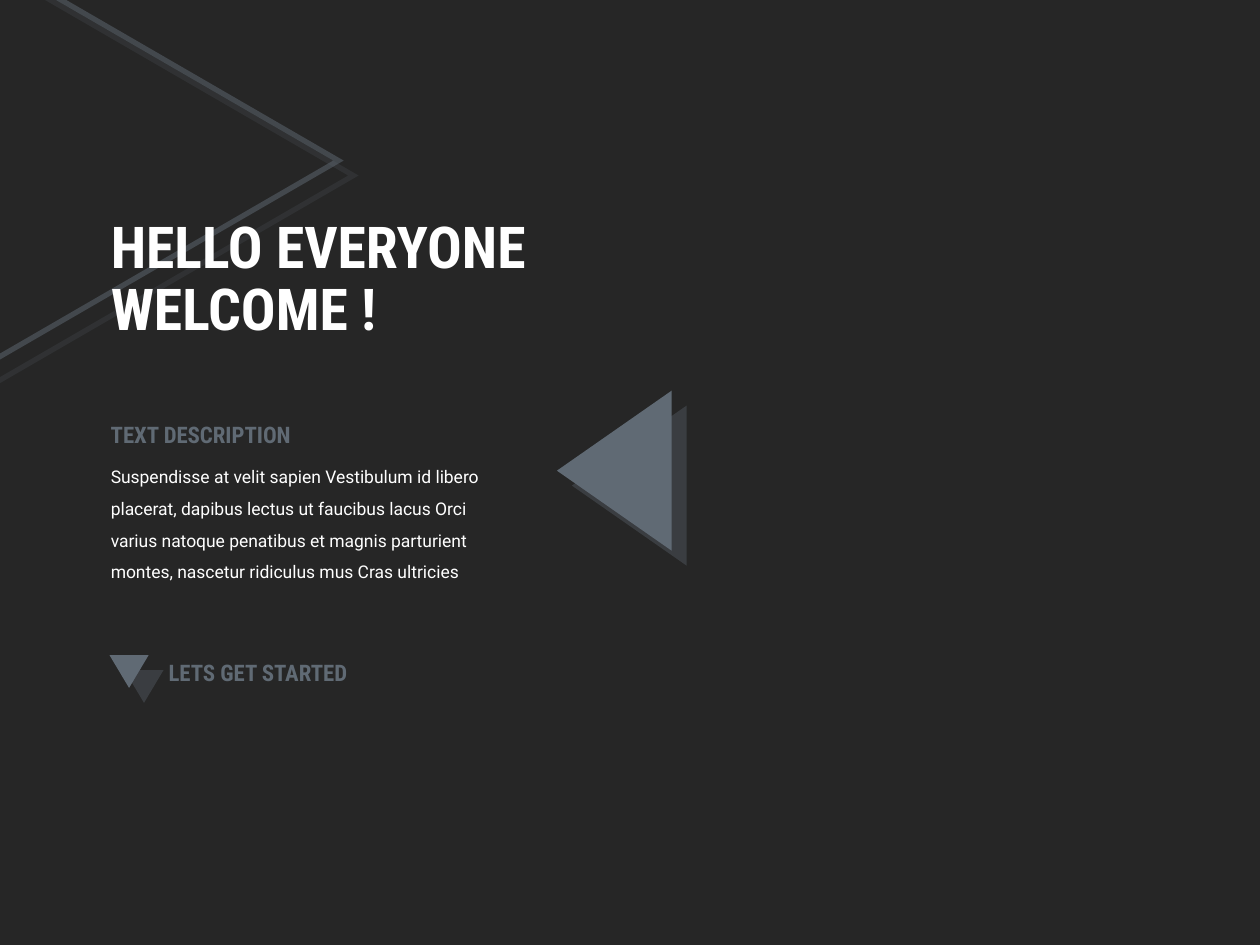
from dataclasses import dataclass

from lxml.etree import SubElement
from pptx import Presentation
from pptx.dml.color import RGBColor
from pptx.enum.shapes import MSO_SHAPE
from pptx.enum.text import MSO_ANCHOR, MSO_AUTO_SIZE
from pptx.oxml.ns import qn
from pptx.slide import Slide
from pptx.util import Pt

DARK = "262626"
SLATE = "606A74"
WHITE = "FFFFFF"
HEADING_FONT = "Roboto Condensed"
BODY_FONT = "Roboto"


@dataclass
class Triangle:
    left: float
    top: float
    width: float
    height: float
    rotation: float
    outlined: bool = False


@dataclass
class Caption:
    text: str
    left: float
    top: float
    width: float
    height: float
    size: float
    color: str
    font: str = HEADING_FONT
    bold: bool = True
    spacing: float = 1.0
    anchor: MSO_ANCHOR = MSO_ANCHOR.TOP
    grow: bool = True


TRIANGLES = [
    Triangle(-28, -10.8, 237.6, 205.2, 90, outlined=True),
    Triangle(305.3, 236.2, 91.4, 65.5, 270),
    Triangle(62.6, 374.4, 22.3, 18.7, 180),
]

CAPTIONS = [
    Caption("HELLO EVERYONE\nWELCOME !", 56.2, 103.7, 303.8, 113.8, 33, WHITE,
            spacing=0.9, anchor=MSO_ANCHOR.MIDDLE, grow=False),
    Caption("Suspendisse at velit sapien Vestibulum id libero placerat, dapibus "
            "lectus ut faucibus lacus Orci varius natoque penatibus et magnis "
            "parturient montes, nascetur ridiculus mus Cras ultricies",
            56.2, 257, 243.4, 79.2, 10, WHITE, font=BODY_FONT, bold=False, spacing=1.5),
    Caption("TEXT DESCRIPTION", 56.2, 236.9, 132.5, 38.9, 13, SLATE),
    Caption("LETS GET STARTED", 89.3, 373, 132.5, 23, 13, SLATE),
]


def paint(color_format, color: str) -> None:
    color_format.rgb = RGBColor.from_string(color)


def set_alpha(color_element, percent: int) -> None:
    SubElement(color_element, qn("a:alpha"), val=str(percent * 1000))


def add_shadow(shape) -> None:
    shape.shadow.inherit = False
    effects = shape._element.spPr.find(qn("a:effectLst"))
    shadow = SubElement(effects, qn("a:outerShdw"), blurRad="0", dist=str(Pt(12.1)),
                        dir=str(45 * 60000), algn="tl", rotWithShape="0")
    set_alpha(SubElement(shadow, qn("a:srgbClr"), val=SLATE), 35)


def add_triangle(page: Slide, triangle: Triangle) -> None:
    shape = page.shapes.add_shape(
        MSO_SHAPE.ISOSCELES_TRIANGLE, Pt(triangle.left), Pt(triangle.top),
        Pt(triangle.width), Pt(triangle.height))
    shape.rotation = triangle.rotation
    if triangle.outlined:
        shape.fill.background()
        shape.line.width = Pt(3)
        shape.line.fill.solid()
        paint(shape.line.color, SLATE)
        outline = shape._element.spPr.find(qn("a:ln"))
        set_alpha(outline.find(".//" + qn("a:srgbClr")), 50)
        SubElement(outline, qn("a:miter"), lim="800000")
    else:
        shape.fill.solid()
        paint(shape.fill.fore_color, SLATE)
        shape.line.fill.background()
    add_shadow(shape)


def add_caption(page: Slide, caption: Caption) -> None:
    box = page.shapes.add_textbox(
        Pt(caption.left), Pt(caption.top), Pt(caption.width), Pt(caption.height))
    frame = box.text_frame
    frame.word_wrap = True
    frame.vertical_anchor = caption.anchor
    frame.auto_size = MSO_AUTO_SIZE.SHAPE_TO_FIT_TEXT if caption.grow else MSO_AUTO_SIZE.NONE
    para = frame.paragraphs[0]
    para.text = caption.text
    para.line_spacing = caption.spacing
    for span in para.runs:
        span.font.name = caption.font
        span.font.size = Pt(caption.size)
        span.font.bold = caption.bold
        paint(span.font.color, caption.color)


def main() -> None:
    """Build the welcome slide and save it."""
    deck = Presentation()
    deck.slide_width, deck.slide_height = Pt(720), Pt(540)
    page = deck.slides.add_slide(deck.slide_layouts[6])
    page.background.fill.solid()
    paint(page.background.fill.fore_color, DARK)
    for triangle in TRIANGLES:
        add_triangle(page, triangle)
    for caption in CAPTIONS:
        add_caption(page, caption)
    deck.save("out.pptx")


if __name__ == "__main__":
    main()
